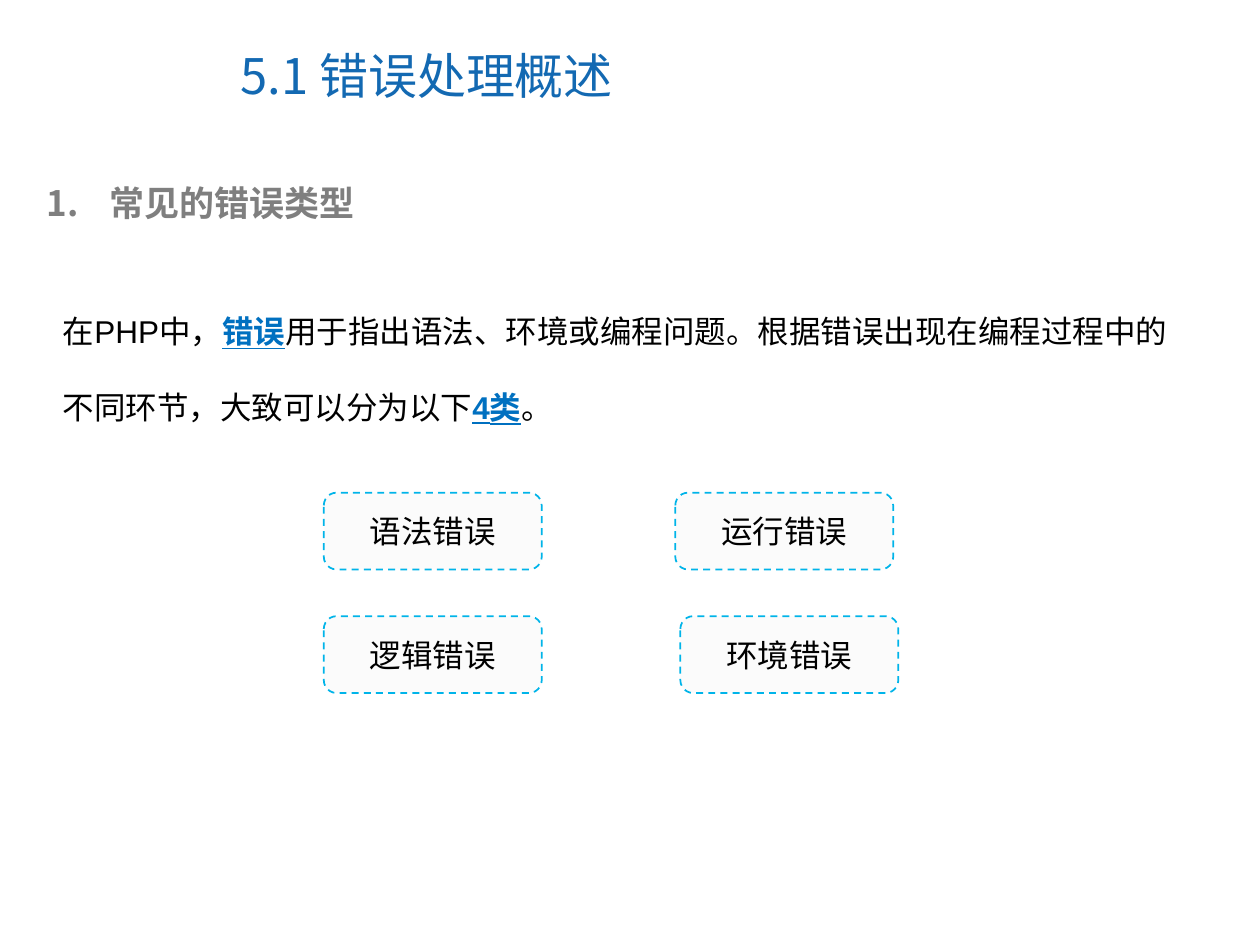
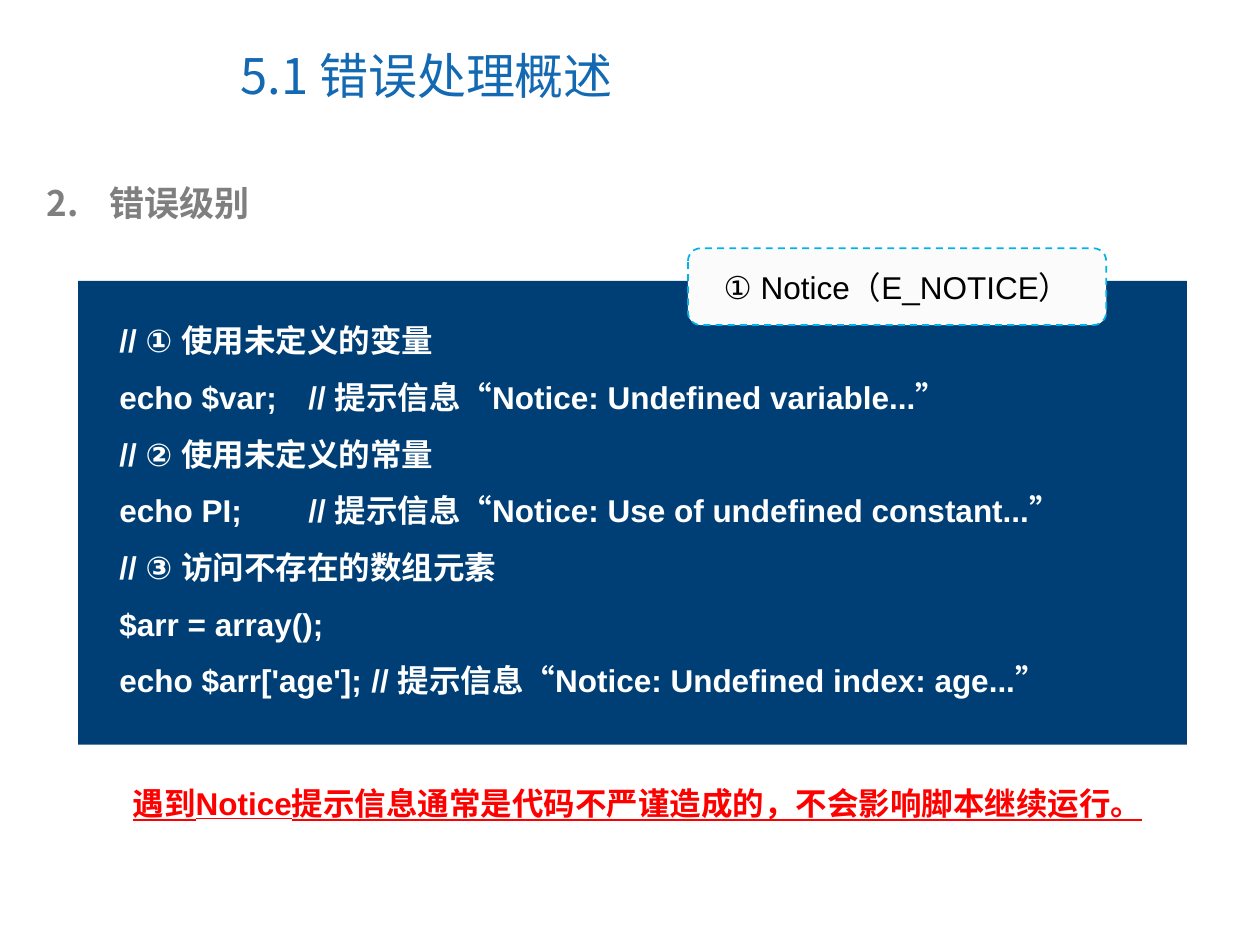
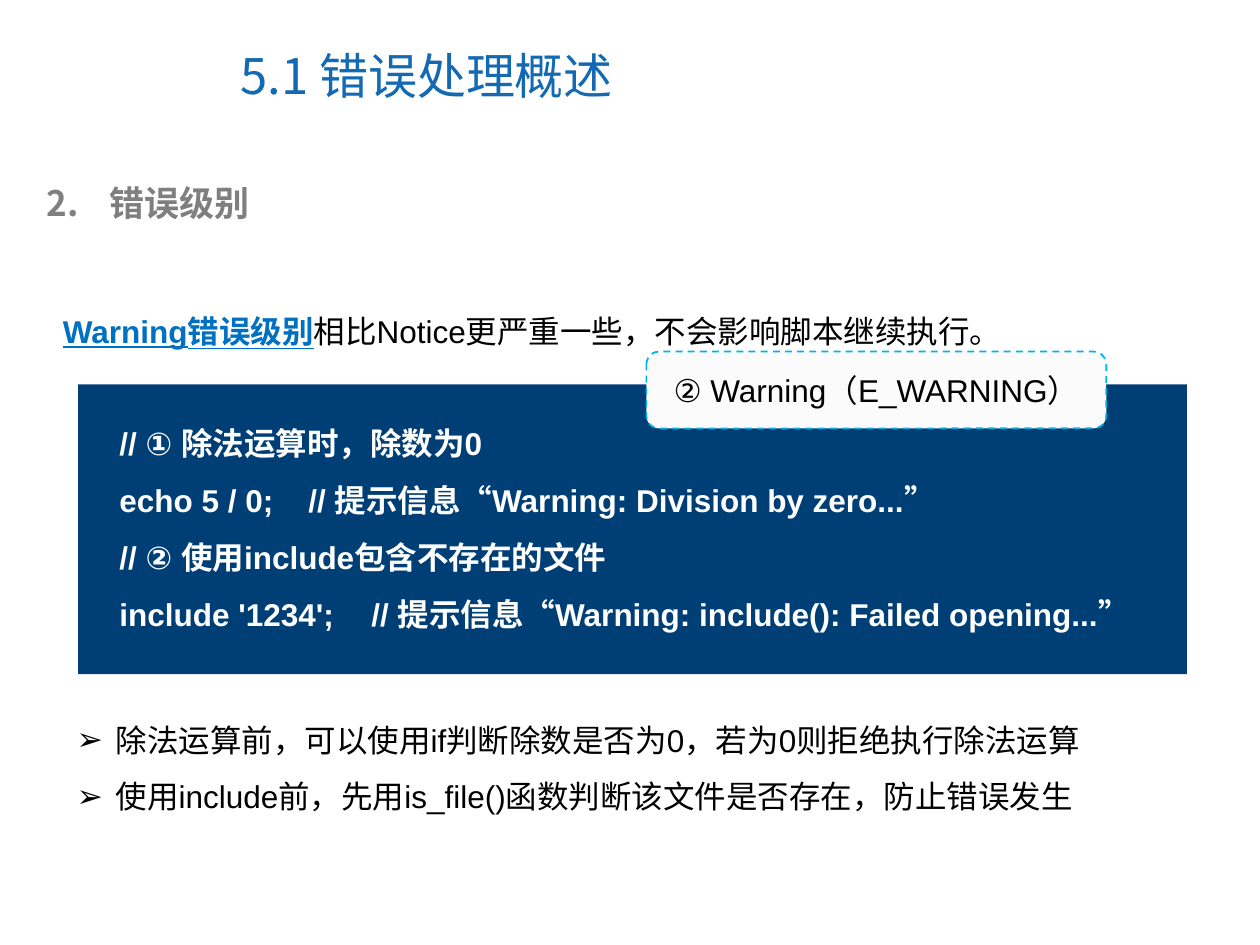
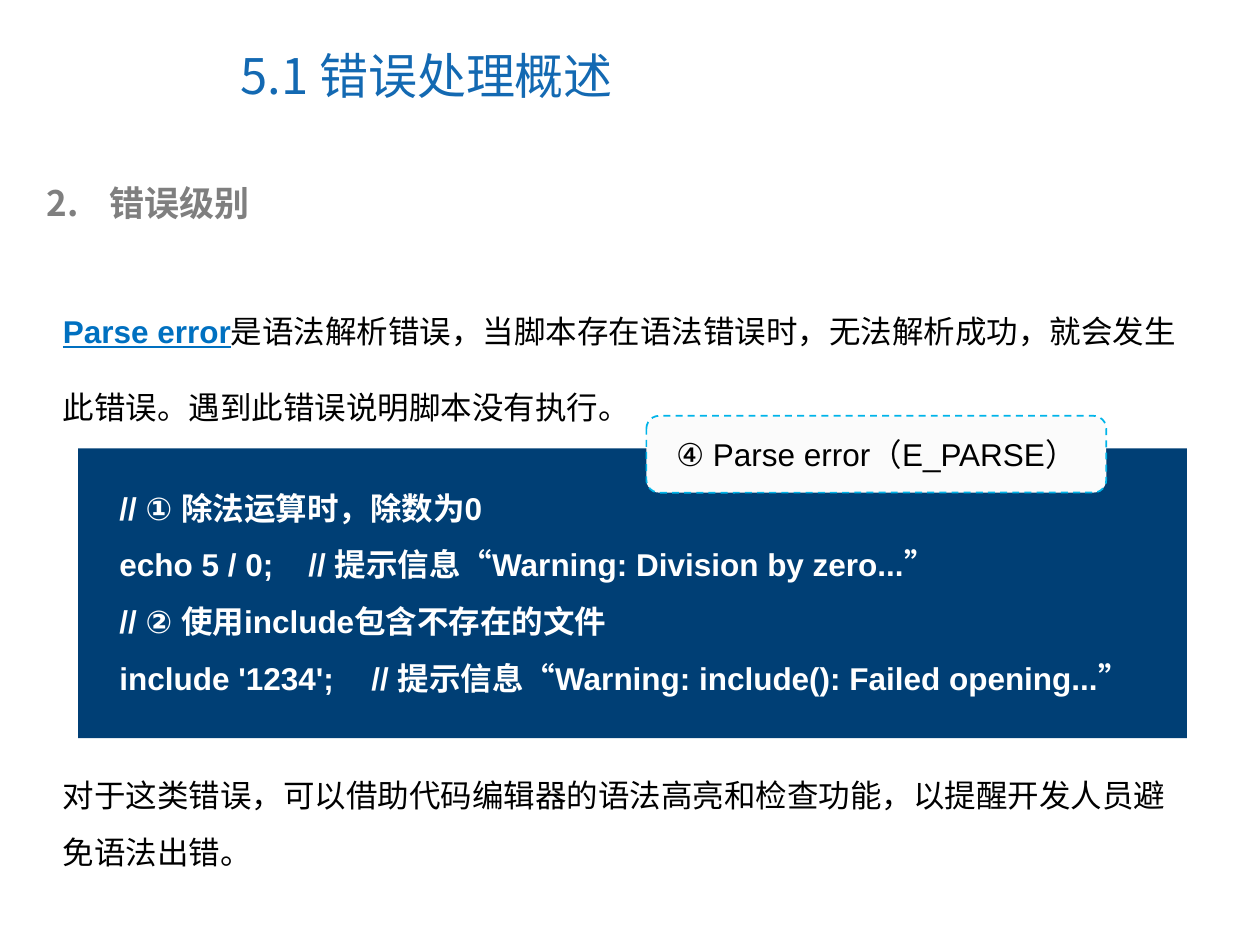
from dataclasses import dataclass

from lxml.etree import SubElement as Sub
from pptx import Presentation as Deck
from pptx.dml.color import RGBColor as Rgb
from pptx.enum.dml import MSO_LINE as Dash
from pptx.enum.shapes import MSO_SHAPE as Kind
from pptx.enum.text import MSO_ANCHOR as Anchor, MSO_AUTO_SIZE as Fit, PP_ALIGN as Align
from pptx.oxml.ns import qn
from pptx.util import Inches as In, Pt


@dataclass(frozen=True)
class Style:
    """Look of one run of text."""
    size: int
    color: str
    bold: bool = False
    under: bool = False
    face: str = "Arial"


@dataclass(frozen=True)
class Theme:
    """Colours, type and line settings shared by all slides."""
    asian: str = "Noto Sans CJK SC"
    title: Style = Style(28, "1369B2", face="Noto Sans CJK SC")
    head: Style = Style(20, "7F7F7F", True, face="Noto Sans CJK SC")
    body: Style = Style(18, "000000")
    key: Style = Style(18, "0070C0", True, True)
    code: Style = Style(18, "FFFFFF", True)
    alert: Style = Style(18, "FF0000", True, True)
    panel: str = "003F75"
    badge: str = "FBFBFB"
    edge: str = "00B4E9"


T = Theme()

ZERO = [
    "// ① 除法运算时，除数为0",
    "echo 5 / 0;\t// 提示信息“Warning: Division by zero...”",
    "// ② 使用include包含不存在的文件",
    "include '1234';\t// 提示信息“Warning: include(): Failed opening...”",
]
NOTICE = [
    "// ① 使用未定义的变量",
    "echo $var;\t// 提示信息“Notice: Undefined variable...”",
    "// ② 使用未定义的常量",
    "echo PI;\t\t// 提示信息“Notice: Use of undefined constant...”",
    "// ③ 访问不存在的数组元素",
    "$arr = array();",
    "echo $arr['age'];\t// 提示信息“Notice: Undefined index: age...”",
]


def add_run(para, text, style):
    """Append one styled run."""
    run = para.add_run()
    run.text = text
    font = run.font
    font.size, font.bold, font.underline = Pt(style.size), style.bold, style.under
    font.color.rgb = Rgb.from_string(style.color)
    font.name = style.face
    Sub(font._element, qn("a:ea"), typeface=T.asian)


def add_text(shapes, box, paras, space=1, align=Align.LEFT):
    """Add a growing text box; each paragraph is a list of (text, style)."""
    shape = shapes.add_textbox(*map(In, box))
    frame = shape.text_frame
    frame.word_wrap, frame.auto_size = True, Fit.SHAPE_TO_FIT_TEXT
    for i, runs in enumerate(paras):
        para = frame.add_paragraph() if i else frame.paragraphs[0]
        para.line_spacing, para.alignment = space, align
        for text, style in runs:
            add_run(para, text, style)
    return shape


def add_mark(para, indent, style, tag, **attrs):
    """Give a paragraph a hanging bullet or number."""
    props = para._p.get_or_add_pPr()
    props.set("marL", str(In(indent)))
    props.set("indent", str(-In(indent)))
    Sub(Sub(props, qn("a:buClr")), qn("a:srgbClr"), val=style.color)
    Sub(props, qn("a:buFont"), typeface=style.face)
    Sub(props, qn(tag), **attrs)


def add_box(shapes, kind, box, fill):
    """Add a flat filled shape without outline."""
    shape = shapes.add_shape(kind, *map(In, box))
    shape.shadow.inherit = False
    shape.fill.solid()
    shape.fill.fore_color.rgb = Rgb.from_string(fill)
    shape.line.fill.background()
    return shape


def add_badge(slide, left, top, width, text):
    """Add a dashed rounded label."""
    shape = add_box(slide.shapes, Kind.ROUNDED_RECTANGLE, (left, top, width, 0.61), T.badge)
    shape.line.color.rgb = Rgb.from_string(T.edge)
    shape.line.width, shape.line.dash_style = Pt(1), Dash.DASH
    frame = shape.text_frame
    frame.word_wrap, frame.vertical_anchor = True, Anchor.MIDDLE
    frame.paragraphs[0].alignment = Align.CENTER
    add_run(frame.paragraphs[0], text, T.body)


def add_code(slide, top, lines, label, width):
    """Add a code panel with its label over the upper right edge."""
    group = slide.shapes.add_group_shape().shapes
    count = len(lines)
    add_box(group, Kind.RECTANGLE, (0.62, top, 8.8, 0.46 * (count + 1)), T.panel)
    add_text(group, (0.85, top + 0.12, 8.56, 0.45 * count + 0.1),
             [[(line, T.code)] for line in lines], 1.5)
    add_badge(slide, 8.78 - width, top - 0.26, width, label)


def add_lead(slide, height, *runs):
    """Add the opening statement."""
    add_text(slide.shapes, (0.4, 2.13, 9.19, height), [runs], 2)


def add_page(deck, number, topic):
    """Add a slide with the chapter title and a numbered heading."""
    slide = deck.slides.add_slide(deck.slide_layouts[6])
    title = add_text(slide.shapes, (1.81, 0.17, 5.16, 0.85), [[("5.1 错误处理概述", T.title)]])
    title.text_frame.auto_size = Fit.NONE
    title.text_frame.vertical_anchor = Anchor.MIDDLE
    head = add_text(slide.shapes, (0.27, 1.39, 9.22, 0.44), [[(topic, T.head)]])
    add_mark(head.text_frame.paragraphs[0], 0.5, T.head, "a:buAutoNum",
             type="arabicPeriod", startAt=str(number))
    return slide


def add_types(deck):
    """Build the slide on error types."""
    slide = add_page(deck, 1, "常见的错误类型")
    add_lead(slide, 1.3, ("在PHP中，", T.body), ("错误", T.key),
             ("用于指出语法、环境或编程问题。根据错误出现在编程过程中的不同环节，大致可以分为以下", T.body),
             ("4类", T.key), ("。", T.body))
    for left, top, name in [(2.57, 4.89, "逻辑错误"), (2.57, 3.91, "语法错误"),
                            (5.4, 4.89, "环境错误"), (5.36, 3.91, "运行错误")]:
        add_badge(slide, left, top, 1.73, name)


def add_notice(deck):
    """Build the slide on the Notice level."""
    slide = add_page(deck, 2, "错误级别")
    add_code(slide, 2.23, NOTICE, "① Notice（E_NOTICE）", 3.32)
    add_text(slide.shapes, (0.62, 6.17, 8.88, 0.4),
             [[("遇到Notice提示信息通常是代码不严谨造成的，不会影响脚本继续运行。", T.alert)]],
             align=Align.CENTER)


def add_warning(deck):
    """Build the slide on the Warning level."""
    slide = add_page(deck, 2, "错误级别")
    add_code(slide, 3.05, ZERO, "② Warning（E_WARNING）", 3.65)
    tips = add_text(slide.shapes, (0.51, 5.52, 8.88, 1), [
        [("除法运算前，可以使用if判断除数是否为0，若为0则拒绝执行除法运算", T.body)],
        [("使用include前，先用is_file()函数判断该文件是否存在，防止错误发生", T.body)],
    ], 1.5)
    for para in tips.text_frame.paragraphs:
        add_mark(para, 0.31, T.body, "a:buChar", char="➢")
    add_lead(slide, 0.7, ("Warning错误级别", T.key),
             ("相比Notice更严重一些，不会影响脚本继续执行。", T.body))


def add_parse(deck):
    """Build the slide on the Parse error level."""
    slide = add_page(deck, 2, "错误级别")
    add_code(slide, 3.56, ZERO, "④ Parse error（E_PARSE）", 3.65)
    add_lead(slide, 1.3, ("Parse error", T.key),
             ("是语法解析错误，当脚本存在语法错误时，无法解析成功，就会发生此错误。"
              "遇到此错误说明脚本没有执行。", T.body))
    add_text(slide.shapes, (0.4, 5.96, 9.01, 1),
             [[("对于这类错误，可以借助代码编辑器的语法高亮和检查功能，"
                "以提醒开发人员避免语法出错。", T.body)]], 1.5)


def main():
    """Build and save the deck."""
    deck = Deck()
    deck.slide_width, deck.slide_height = In(10), In(7.5)
    for build in (add_types, add_notice, add_warning, add_parse):
        build(deck)
    deck.save("out.pptx")


if __name__ == "__main__":
    main()
